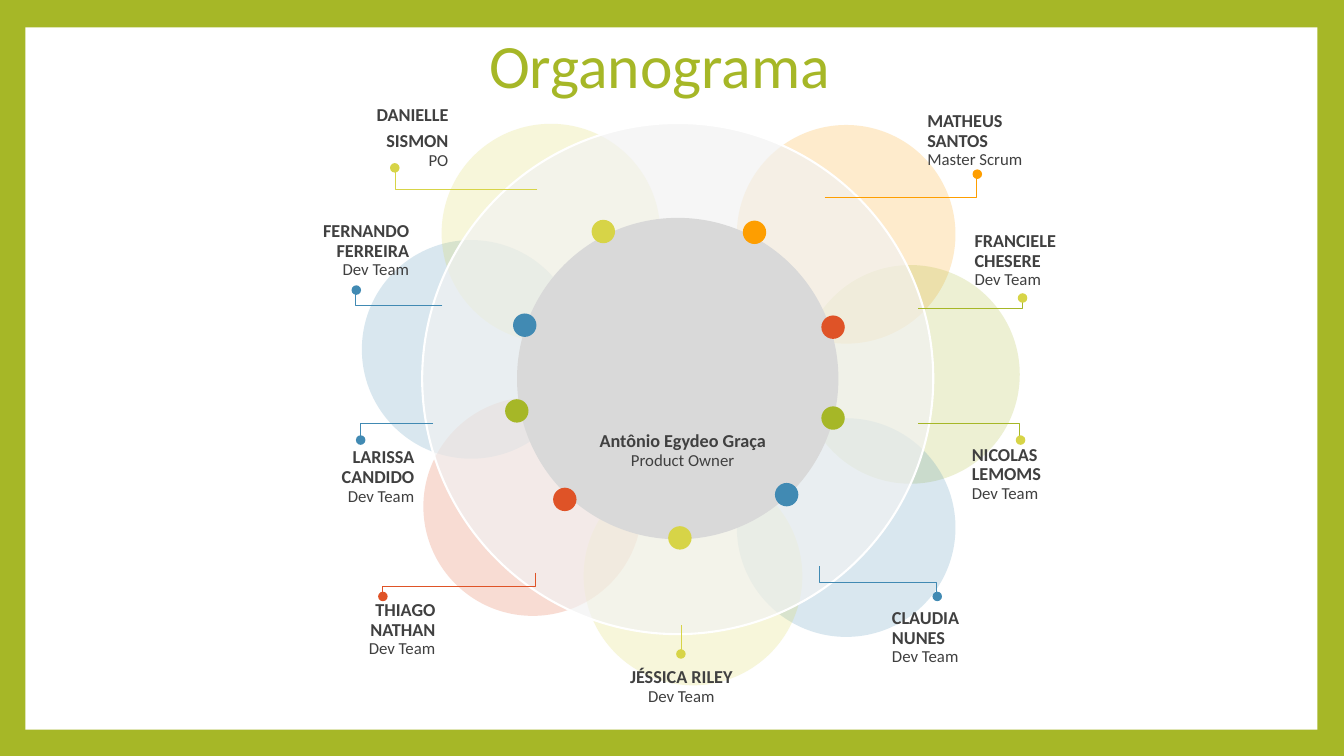
from lxml import etree
from pptx import Presentation
from pptx import util as u
from pptx.dml.color import RGBColor
from pptx.enum import shapes, text
from pptx.oxml import ns

LIME, YELLOW, ORANGE = "A6B727", "D7D447", "FE9E00"
BLUE, RED, INK, WHITE = "418AB3", "DF5327", "404040", "FFFFFF"
LEFT, CENTER, RIGHT = text.PP_ALIGN.LEFT, text.PP_ALIGN.CENTER, text.PP_ALIGN.RIGHT
OVAL, RECT = shapes.MSO_SHAPE.OVAL, shapes.MSO_SHAPE.RECTANGLE

PETAL, RIM_DOT, PIN = 5.51, 0.59, 0.24  # diameters in cm

PETALS = [
    (18.57, 3.15, ORANGE), (20.19, 6.68, LIME), (18.57, 10.54, BLUE),
    (10.67, 10.01, RED), (9.12, 6.05, BLUE), (11.13, 3.12, YELLOW),
    (14.71, 11.76, YELLOW),
]
RIM_DOTS = [
    (14.91, 5.54, YELLOW), (18.72, 5.56, ORANGE), (19.53, 12.17, BLUE),
    (20.7, 10.24, LIME), (13.94, 12.29, RED), (16.84, 13.26, YELLOW),
    (12.93, 7.9, BLUE), (12.73, 10.06, LIME), (20.7, 7.95, RED),
]
# name lines, role, label box, alignment, leader kind, leader ends, pin corner, leader and pin colours
MEMBERS = [
    (["FRANCIELE CHESERE"], "Dev Team", (24.56, 5.61, 2.46, 1.9), LEFT,
     "corner", (23.14, 7.77, 25.78, 7.62), (25.65, 7.39), LIME, YELLOW),
    (["MATHEUS SANTOS"], "Master Scrum", (23.37, 2.79, 2.51, 1.5), LEFT,
     "corner", (20.78, 4.98, 24.61, 4.29), (24.51, 4.27), ORANGE, ORANGE),
    (["NICOLAS LEMOMS"], "Dev Team", (24.49, 11.2, 2.46, 1.5), LEFT,
     "corner", (23.14, 10.67, 25.7, 11.2), (25.6, 10.97), LIME, YELLOW),
    (["THIAGO NATHAN"], "Dev Team", (8.28, 15.11, 2.69, 1.5), RIGHT,
     "step", (13.49, 14.43, 9.63, 15.11), (9.53, 14.91), RED, RED),
    (["JÉSSICA RILEY"], "Dev Team", (15.67, 16.56, 3, 1.5), CENTER,
     "straight", (17.17, 15.75, 17.17, 16.56), (17.04, 16.36), YELLOW, YELLOW),
    (["LARISSA CANDIDO"], "Dev Team", (7.75, 11.07, 2.69, 1.9), RIGHT,
     "corner", (10.92, 10.67, 9.09, 11.07), (8.97, 10.97), BLUE, BLUE),
    (["CLAUDIA NUNES"], "Dev Team", (22.48, 15.11, 2.24, 1.9), LEFT,
     "step", (20.65, 14.27, 23.6, 15.11), (23.5, 14.91), BLUE, BLUE),
    (["FERNANDO FERREIRA"], "Dev Team", (7.62, 5.36, 2.69, 1.9), RIGHT,
     "corner", (11.15, 7.7, 8.97, 7.26), (8.86, 7.19), BLUE, BLUE),
    (["DANIELLE", "SISMON"], "PO", (8.61, 2.72, 2.69, 1.5), RIGHT,
     "corner", (13.54, 4.78, 9.96, 4.22), (9.83, 4.11), YELLOW, YELLOW),
]


def rgb(value):
    return RGBColor.from_string(value)


def add_text(p, words, size=12, color=INK, bold=False, font="Calibri"):
    r = p.add_run()
    r.text = words
    r.font.name, r.font.size, r.font.bold = font, u.Pt(size), bold
    r.font.color.rgb = rgb(color)


class OrgSlide:
    def __init__(self, prs):
        self.s = prs.slides.add_slide(prs.slide_layouts[5])
        self.s.background.fill.solid()
        self.s.background.fill.fore_color.rgb = rgb(LIME)

    def shape(self, kind, x, y, w, h, fill, alpha=None, line=None):
        sp = self.s.shapes.add_shape(kind, u.Cm(x), u.Cm(y), u.Cm(w), u.Cm(h))
        sp.shadow.inherit = False
        sp.fill.solid()
        sp.fill.fore_color.rgb = rgb(fill)
        if alpha is not None:
            clr = sp._element.spPr.find(ns.qn("a:solidFill"))[0]
            etree.SubElement(clr, ns.qn("a:alpha"), val=str(alpha * 1000))
        if line:
            sp.line.color.rgb = rgb(line)
            sp.line.width = u.Pt(1.5)
        else:
            sp.line.fill.background()

    def circle(self, x, y, size, fill, **style):
        self.shape(OVAL, x, y, size, size, fill, **style)

    def title(self, words, x, y, w, h):
        """Fill the title placeholder and bring it in front of what is drawn so far."""
        sp = self.s.shapes.title
        sp.left, sp.top, sp.width, sp.height = map(u.Cm, (x, y, w, h))
        tf = sp.text_frame
        tf.auto_size = text.MSO_AUTO_SIZE.NONE
        tf.vertical_anchor = text.MSO_ANCHOR.MIDDLE
        p = tf.paragraphs[0]
        p.alignment, p.line_spacing = LEFT, 0.9
        add_text(p, words, size=44, color=LIME)
        sp._element.getparent().append(sp._element)

    def label(self, names, role, box, align):
        sp = self.s.shapes.add_textbox(*map(u.Cm, box))
        tf = sp.text_frame
        tf.word_wrap = True
        tf.vertical_anchor = text.MSO_ANCHOR.MIDDLE
        tf.margin_left = tf.margin_right = tf.margin_top = tf.margin_bottom = 0
        for i, name in enumerate(names):
            p = tf.add_paragraph() if i else tf.paragraphs[0]
            p.alignment, p.line_spacing, p.space_after = align, 0.9, u.Pt(4.6)
            add_text(p, name, size=13, bold=True)
        p.add_line_break()
        add_text(p, role)
        return sp

    def leader(self, kind, ends, color, label):
        """Corner runs across then up or down; step runs down, across, down."""
        x1, y1, x2, y2 = ends
        if kind == "step":  # laid out on its side, then turned a quarter
            cx, cy, dx, dy = (x1 + x2) / 2, (y1 + y2) / 2, (x2 - x1) / 2, (y2 - y1) / 2
            ends = cx - dy, cy + dx, cx + dy, cy - dx
        style = shapes.MSO_CONNECTOR.STRAIGHT if kind == "straight" else shapes.MSO_CONNECTOR.ELBOW
        c = self.s.shapes.add_connector(style, *map(u.Cm, ends))
        c.line.color.rgb = rgb(color)
        c.line.width = u.Pt(0.79)
        spPr = c._element.spPr
        etree.SubElement(spPr, ns.qn("a:effectLst"))
        if kind == "straight":
            c.end_connect(label, 0)
        elif kind == "corner":
            spPr.find(ns.qn("a:prstGeom")).set("prst", "bentConnector2")
        else:
            spPr.find(ns.qn("a:xfrm")).set("rot", "5400000")


def main():
    prs = Presentation()
    prs.slide_width, prs.slide_height = u.Cm(33.87), u.Cm(19.05)
    org = OrgSlide(prs)

    org.shape(RECT, 0.64, 0.69, 32.56, 17.7, WHITE)
    for x, y, color in PETALS:
        org.circle(x, y, PETAL, color, alpha=20)
    org.title("Organograma", 12.07, 0.46, 9.58, 2.54)
    org.circle(10.64, 3.1, 12.88, "F2F2F2", alpha=68, line=WHITE)
    org.circle(13.03, 5.49, 8.1, "D9D9D9")
    for x, y, color in RIM_DOTS:
        org.circle(x, y, RIM_DOT, color)

    org.label(["Antônio Egydeo Graça"], "Product Owner", (14.88, 10.41, 4.65, 1.9), CENTER)
    for names, role, box, align, kind, ends, pin, line_color, pin_color in MEMBERS:
        label = org.label(names, role, box, align)
        org.leader(kind, ends, line_color, label)
        org.circle(*pin, PIN, pin_color)

    prs.save("out.pptx")


if __name__ == "__main__":
    main()
